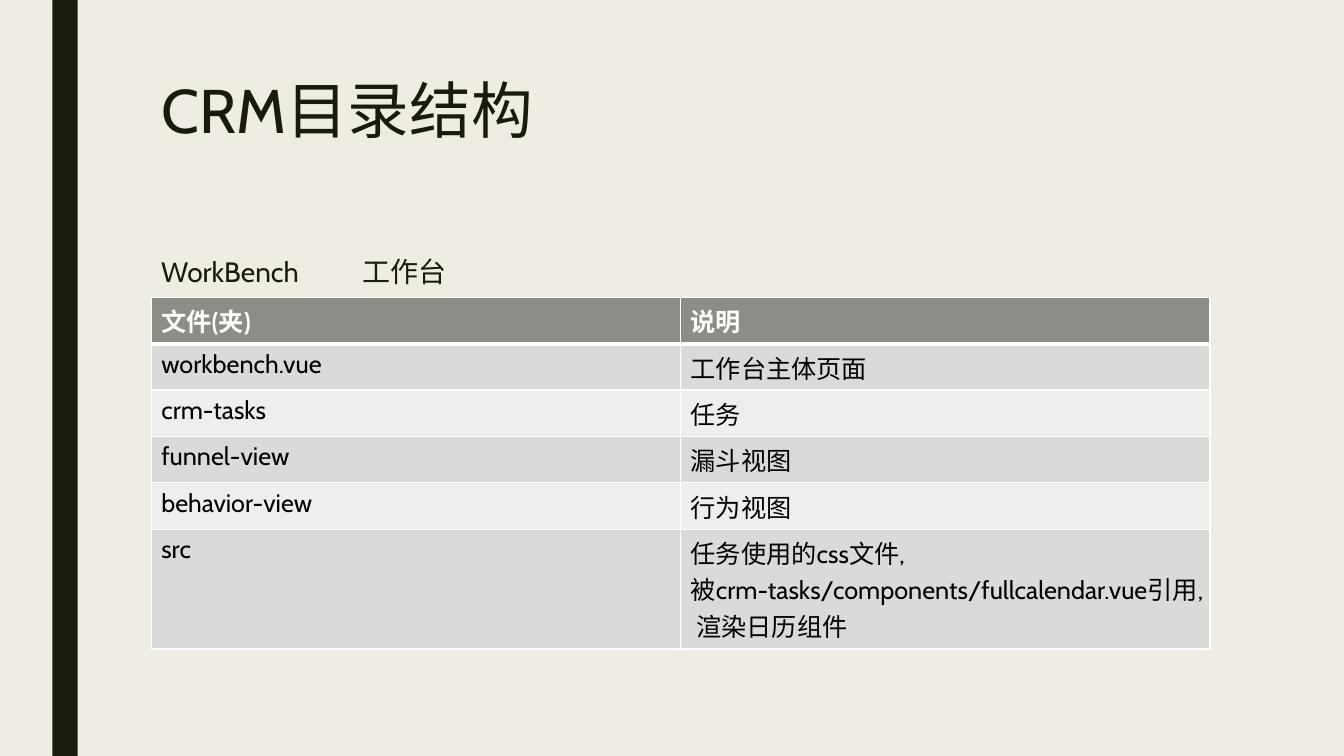
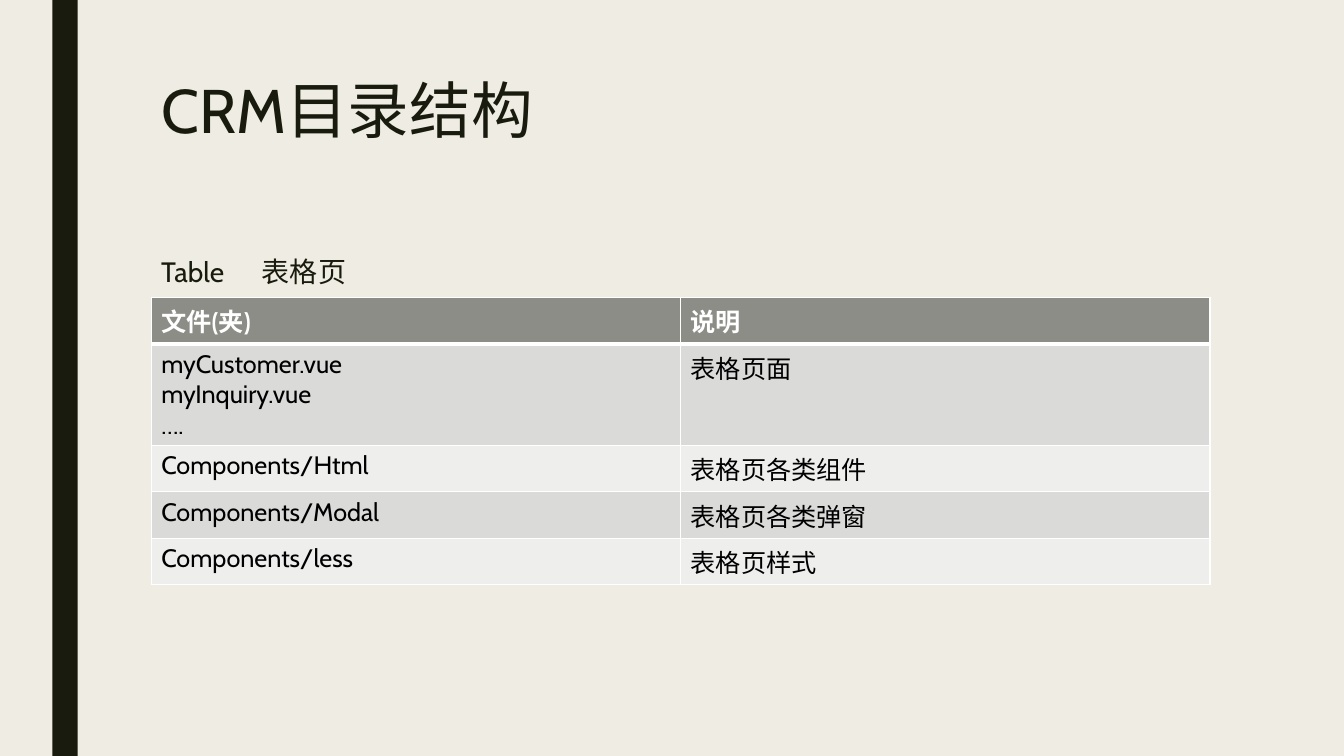
from lxml.etree import SubElement as Sub
from pptx import Presentation
from pptx.dml.color import RGBColor as RGB
from pptx.enum.shapes import MSO_SHAPE as Shape
from pptx.oxml.ns import qn
from pptx.util import Inches, Pt

COLORS = {
    "paper": "EFEDE3",
    "ink": "191B0E",
    "head": "8C8D86",
    "dark": "DADBD9",
    "light": "EEEEED",
    "white": "FFFFFF",
    "black": "000000",
}
FONT = "Cabin"
LEFT, WIDTH = 1.5, 10.5
ROW = 0.46
TITLE = "CRM目录结构"
HEAD = ("文件(夹)", "说明")


class Deck:
    """Hold the deck style and the current slide."""

    def __init__(self):
        self.deck = Presentation()
        self.deck.slide_width = Inches(13.33)
        self.deck.slide_height = Inches(7.5)
        self.slide = None

    def color(self, name):
        return RGB.from_string(COLORS[name])

    def paint(self, fill, name):
        fill.solid()
        fill.fore_color.rgb = self.color(name)

    def style(self, frame, size, color, bold=False):
        for para in frame.paragraphs:
            for run in para.runs:
                font = run.font
                font.name, font.size, font.bold = FONT, Pt(size), bold
                font.color.rgb = self.color(color)

    def page(self):
        self.slide = self.deck.slides.add_slide(self.deck.slide_layouts[6])
        self.paint(self.slide.background.fill, "paper")
        self.band()
        self.text(TITLE, 0.75, 1.62, 44, 0.89)

    def band(self):
        band = self.slide.shapes.add_shape(
            Shape.RECTANGLE, Inches(0.52), 0, Inches(0.25), self.deck.slide_height)
        self.paint(band.fill, "ink")
        band.line.fill.background()
        band.shadow.inherit = False

    def text(self, words, top, height, size, space, before=0, after=0):
        box = self.slide.shapes.add_textbox(
            Inches(LEFT), Inches(top), Inches(WIDTH), Inches(height))
        frame = box.text_frame
        frame.word_wrap = True
        frame.text = words
        para = frame.paragraphs[0]
        para.line_spacing = space
        para.space_before, para.space_after = Pt(before), Pt(after)
        self.style(frame, size, "ink")
        return para

    def tabs(self, para, *stops):
        tabs = Sub(para._p.get_or_add_pPr(), qn("a:tabLst"))
        for stop in stops:
            Sub(tabs, qn("a:tab"), pos=str(Inches(stop)), algn="l")

    def edge(self, cell, top, bottom):
        props = cell._tc.get_or_add_tcPr()
        for side, width in (("L", 1), ("R", 1), ("T", top), ("B", bottom)):
            line = Sub(props, qn("a:ln" + side), w=str(Pt(width)))
            fill = Sub(line, qn("a:solidFill"))
            Sub(fill, qn("a:srgbClr"), val=COLORS["white"])

    def table(self, rows, tall):
        data = [HEAD, *rows]
        sizes = [tall.get(i, ROW) for i in range(len(data))]
        shape = self.slide.shapes.add_table(
            len(data), len(HEAD), Inches(LEFT), Inches(2.95),
            Inches(WIDTH), Inches(sum(sizes)))
        grid = shape.table
        for col in grid.columns:
            col.width = Inches(WIDTH / len(HEAD))
        for i, (row, size) in enumerate(zip(data, sizes)):
            grid.rows[i].height = Inches(size)
            first = i == 0
            fill = "head" if first else ("light", "dark")[i % 2]
            for j, words in enumerate(row):
                cell = grid.cell(i, j)
                cell.text_frame.text = words
                self.style(cell.text_frame, 18, "white" if first else "black", first)
                self.edge(cell, 3 if i == 1 else 1, 3 if first else 1)
                self.paint(cell.fill, fill)

    def topic(self, label, rows, tall):
        self.page()
        para = self.text(label, 2.5, 3.92, 20, 0.94, 10, 2)
        self.tabs(para, 1, 2)
        self.table(rows, tall)


def main():
    deck = Deck()
    deck.topic("WorkBench\t工作台", [
        ("workbench.vue", "工作台主体页面"),
        ("crm-tasks", "任务"),
        ("funnel-view", "漏斗视图"),
        ("behavior-view", "行为视图"),
        ("src", "任务使用的css文件, 被crm-tasks/components/fullcalendar.vue引用, 渲染日历组件"),
    ], {5: 1.19})
    deck.topic("Table\t表格页", [
        ("myCustomer.vue\nmyInquiry.vue\n….", "表格页面"),
        ("Components/Html", "表格页各类组件"),
        ("Components/Modal", "表格页各类弹窗"),
        ("Components/less", "表格页样式"),
    ], {1: 1.01})
    deck.deck.save("out.pptx")


if __name__ == "__main__":
    main()
